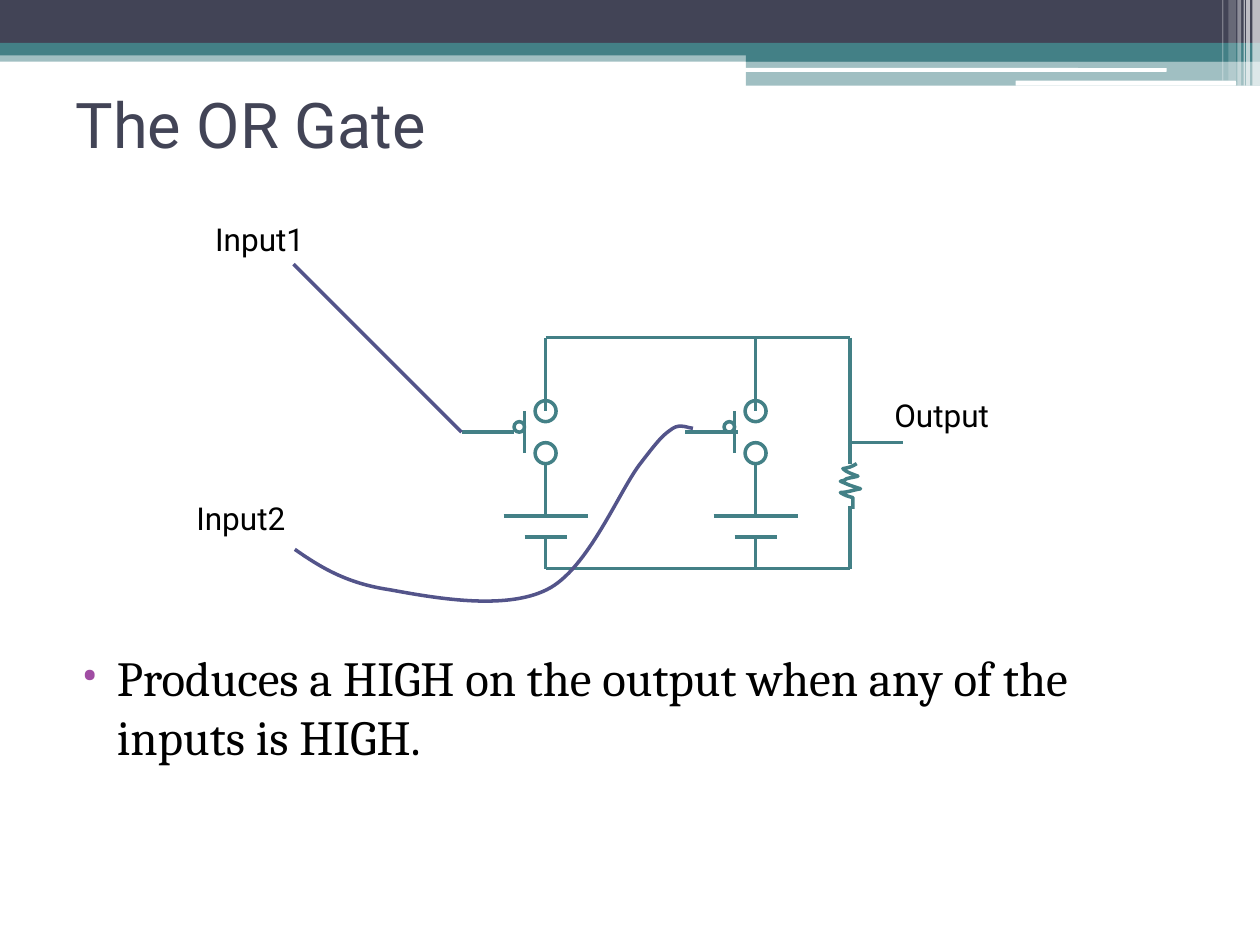
from dataclasses import dataclass
from typing import NamedTuple

from lxml import etree
from pptx import Presentation
from pptx import util as u
from pptx.dml.color import RGBColor
from pptx.enum import shapes, text
from pptx.oxml import ns


@dataclass(frozen=True)
class Theme:
    dark: str = "424456"
    teal: str = "438086"
    violet: str = "53548A"
    bullet: str = "A04DA3"
    white: str = "FFFFFF"
    black: str = "000000"
    heading_font: str = "Roboto"
    body_font: str = "Cambria"
    title_size: int = 36
    body_size: int = 28
    label_size: int = 18
    stroke: int = 2


@dataclass(frozen=True)
class Grid:
    left: float
    top: float
    cell: float

    def x(self, column: float) -> int:
        return u.Inches(self.left + column * self.cell)

    def y(self, row: float) -> int:
        return u.Inches(self.top + row * self.cell)

    def size(self, cells: float) -> int:
        return u.Inches(cells * self.cell)

    def area(self, column: float, row: float, width: float, height: float) -> tuple:
        return self.x(column), self.y(row), self.size(width), self.size(height)


class Band(NamedTuple):
    column: float
    row: float
    width: float
    height: float
    color: str
    opacity: int = 100
    rounded: bool = False


class Wire(NamedTuple):
    x1: float
    y1: float
    x2: float
    y2: float
    color: str


class Ring(NamedTuple):
    column: float
    row: float
    diameter: float


class Label(NamedTuple):
    words: str
    column: float
    row: float


THEME = Theme()
PAGE = Grid(0, 0, 0.1)
CIRCUIT = Grid(4.33, 2.68, 1 / 12)
SECOND_GATE, RIGHT_RAIL, BOTTOM_RAIL = 20, 29, 22

BANDS = [
    Band(0, 4, 100, 0.9, THEME.teal, 50),
    Band(0, 0, 100, 3.4, THEME.dark),
    Band(0, 3.4, 100, 1, THEME.teal),
    Band(59.2, 3.9, 40.8, 1, THEME.teal),
    Band(59.2, 4.8, 40.8, 2, THEME.teal, 50),
    Band(59.1, 5.4, 33.5, 0.3, THEME.white, rounded=True),
    Band(80.6, 6.4, 17.5, 0.4, THEME.white, rounded=True),
    Band(99.4, 0, 0.6, 6.8, THEME.white, 65),
    Band(98.9, 0, 0.3, 6.8, THEME.white, 65),
    Band(98.7, 0, 0.1, 6.8, THEME.white, 60),
    Band(98.2, 0, 0.3, 6.8, THEME.white, 40),
    Band(97.5, 0, 0.6, 6.4, THEME.white, 20),
    Band(97, 0, 0.1, 6.4, THEME.white, 30),
]
RAILS = [
    Wire(0, 0, RIGHT_RAIL, 0, THEME.teal),
    Wire(0, BOTTOM_RAIL, RIGHT_RAIL, BOTTOM_RAIL, THEME.teal),
    Wire(RIGHT_RAIL, 16, RIGHT_RAIL, BOTTOM_RAIL, THEME.teal),
    Wire(RIGHT_RAIL, 0, RIGHT_RAIL, 12, THEME.teal),
    Wire(-3, 9, -8, 9, THEME.teal),
    Wire(SECOND_GATE - 1.7, 9, SECOND_GATE - 6.7, 9, THEME.teal),
    Wire(-24, -7, -8, 9, THEME.violet),
    Wire(RIGHT_RAIL + 5, 10, RIGHT_RAIL, 10, THEME.teal),
]
SWITCH_WIRES = [
    Wire(0, 0, 0, 7, THEME.teal),
    Wire(-4, 17, 4, 17, THEME.teal),
    Wire(-2, 19, 2, 19, THEME.teal),
    Wire(0, 12, 0, 17, THEME.teal),
    Wire(0, 19, 0, BOTTOM_RAIL, THEME.teal),
    Wire(-2, 11, -2, 7, THEME.teal),
]
SWITCH_RINGS = [Ring(-1, 6, 2), Ring(-1, 10, 2), Ring(-3, 8, 1)]
RESISTOR = [
    (68, 36.8), (67.5, 37.1), (67.4, 37.1), (66.9, 37.2),
    (67.2, 37.5), (67.6, 37.6), (68.1, 37.8), (67.8, 37.9), (67.5, 37.9), (67.2, 38),
    (66.9, 38.2), (67, 38.1), (66.7, 38.2), (66.9, 38.3), (67.2, 38.4), (67.4, 38.5),
    (67.7, 38.6), (68.3, 38.8), (68.3, 38.8), (67.7, 38.9), (67.2, 39.1), (66.7, 39.1),
    (67, 39.3), (67.3, 39.4), (67.7, 39.5), (67.7, 39.8), (67.7, 40.1), (67.7, 40.4),
]
INPUT_CURVE = [
    (23.4, 43.6), (25.4, 45), (27.5, 46.3), (30.9, 46.8),
    (34.2, 47.4), (40, 48.5), (43.4, 46.8), (46.7, 45.2), (49.2, 38.8), (50.9, 36.7),
    (52.5, 34.6), (52.7, 34.5), (53.4, 34), (54, 33.6), (54.7, 34), (55, 34),
]
LABELS = [Label("Input1", 16.1, 17), Label("Input2", 14.6, 39.1), Label("Output", 70, 30.9)]


def rgb(color: str) -> RGBColor:
    return RGBColor.from_string(color)


def draw_band(page, band: Band) -> None:
    kind = shapes.MSO_SHAPE.ROUNDED_RECTANGLE if band.rounded else shapes.MSO_SHAPE.RECTANGLE
    bar = page.shapes.add_shape(kind, *PAGE.area(*band[:4]))
    bar.shadow.inherit = False
    bar.line.fill.background()
    bar.fill.solid()
    bar.fill.fore_color.rgb = rgb(band.color)
    if band.opacity < 100:
        color = bar._element.spPr.find(".//" + ns.qn("a:srgbClr"))
        etree.SubElement(color, ns.qn("a:alpha"), val=str(band.opacity * 1000))


def draw_wire(diagram, wire: Wire, shift: float = 0) -> None:
    line = diagram.shapes.add_connector(
        shapes.MSO_CONNECTOR.STRAIGHT,
        CIRCUIT.x(wire.x1 + shift), CIRCUIT.y(wire.y1),
        CIRCUIT.x(wire.x2 + shift), CIRCUIT.y(wire.y2),
    )
    line.line.color.rgb = rgb(wire.color)
    line.line.width = u.Pt(THEME.stroke)
    etree.SubElement(line._element.spPr, ns.qn("a:effectLst"))


def outline(shape, color: str) -> None:
    shape.shadow.inherit = False
    shape.fill.background()
    shape.line.color.rgb = rgb(color)
    shape.line.width = u.Pt(THEME.stroke)


def draw_switch(diagram, shift: float) -> None:
    for wire in SWITCH_WIRES:
        draw_wire(diagram, wire, shift)
    for ring in SWITCH_RINGS:
        area = CIRCUIT.area(ring.column + shift, ring.row, ring.diameter, ring.diameter)
        outline(diagram.shapes.add_shape(shapes.MSO_SHAPE.OVAL, *area), THEME.teal)


def draw_curve(diagram, controls: list, color: str) -> None:
    start, *rest = [(PAGE.x(x), PAGE.y(y)) for x, y in controls]
    builder = diagram.shapes.build_freeform(*start)
    builder.add_line_segments(rest, close=False)
    curve = builder.convert_to_shape()
    segments = curve._element.findall(".//" + ns.qn("a:lnTo"))
    track = segments[0].getparent()
    for first in range(0, len(segments), 3):
        bend = etree.SubElement(track, ns.qn("a:cubicBezTo"))
        for segment in segments[first:first + 3]:
            bend.append(segment[0])
            track.remove(segment)
    outline(curve, color)


def write(frame, words: str, font: str, size: int, color: str):
    frame.word_wrap = True
    frame.auto_size = text.MSO_AUTO_SIZE.NONE
    frame.text = words
    para = frame.paragraphs[0]
    para.alignment = text.PP_ALIGN.LEFT
    span = para.runs[0]
    span.font.name, span.font.size = font, u.Pt(size)
    span.font.color.rgb = rgb(color)
    return para


def add_bullet(para) -> None:
    props = para._p.get_or_add_pPr()
    props.set("marL", str(u.Inches(0.4)))
    props.set("indent", str(u.Inches(-0.28)))
    color = etree.SubElement(props, ns.qn("a:buClr"))
    etree.SubElement(color, ns.qn("a:srgbClr"), val=THEME.bullet)
    etree.SubElement(props, ns.qn("a:buFont"), typeface=THEME.heading_font)
    etree.SubElement(props, ns.qn("a:buChar"), char="•")


def main() -> None:
    deck = Presentation()
    deck.slide_width, deck.slide_height = PAGE.size(100), PAGE.size(75)
    page = deck.slides.add_slide(deck.slide_layouts[5])
    for band in BANDS:
        draw_band(page, band)

    title = page.shapes.title
    title.left, title.top, title.width, title.height = PAGE.area(5, 3.9, 90, 11.7)
    title.text_frame.vertical_anchor = text.MSO_ANCHOR.MIDDLE
    write(title.text_frame, "The OR Gate", THEME.heading_font, THEME.title_size, THEME.dark)

    body = page.shapes.add_textbox(*PAGE.area(4.3, 50.9, 90, 14))
    sentence = "Produces a HIGH on the output when any of the inputs is HIGH."
    add_bullet(write(body.text_frame, sentence, THEME.body_font, THEME.body_size, THEME.black))

    diagram = page.shapes.add_group_shape()
    for wire in RAILS:
        draw_wire(diagram, wire)
    for shift in (0, SECOND_GATE):
        draw_switch(diagram, shift)
    draw_curve(diagram, RESISTOR, THEME.teal)
    draw_curve(diagram, INPUT_CURVE, THEME.violet)
    for label in LABELS:
        box = diagram.shapes.add_textbox(*PAGE.area(label.column, label.row, 11.7, 4))
        write(box.text_frame, label.words, THEME.heading_font, THEME.label_size, THEME.black)

    deck.save("out.pptx")


if __name__ == "__main__":
    main()
